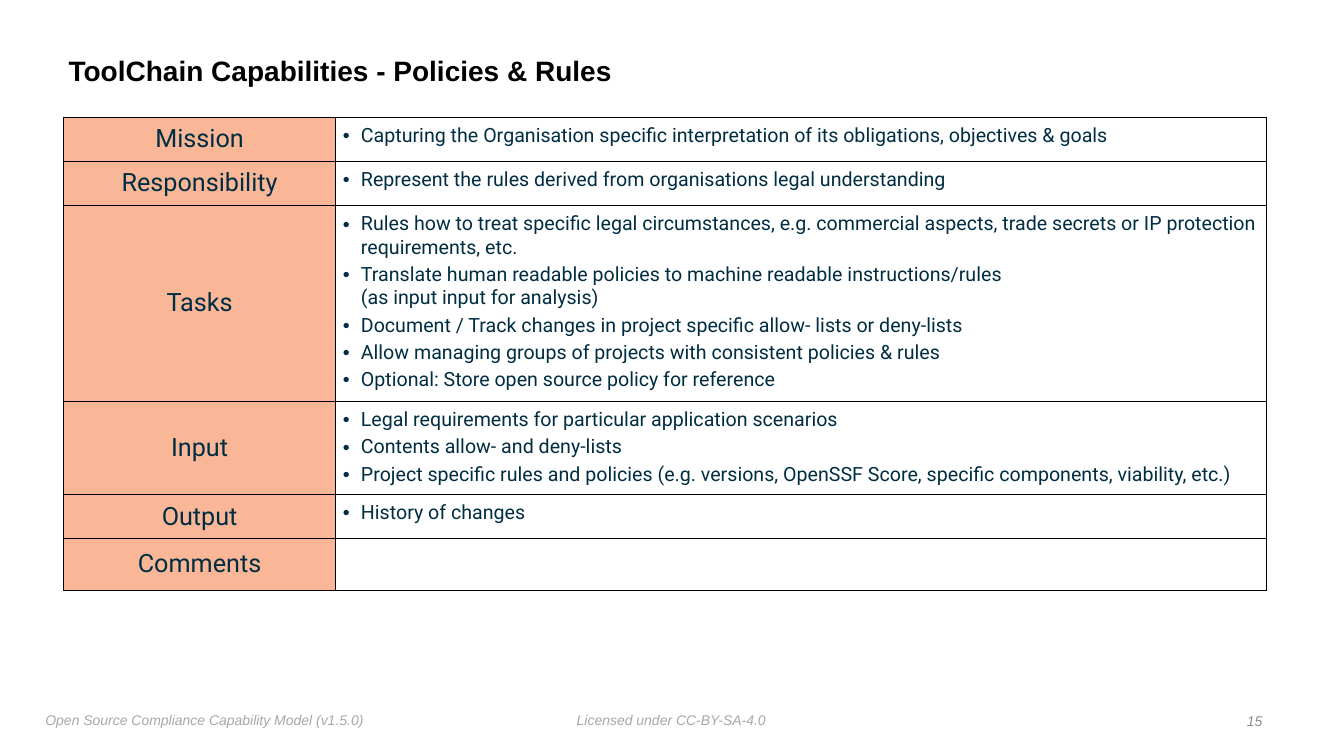
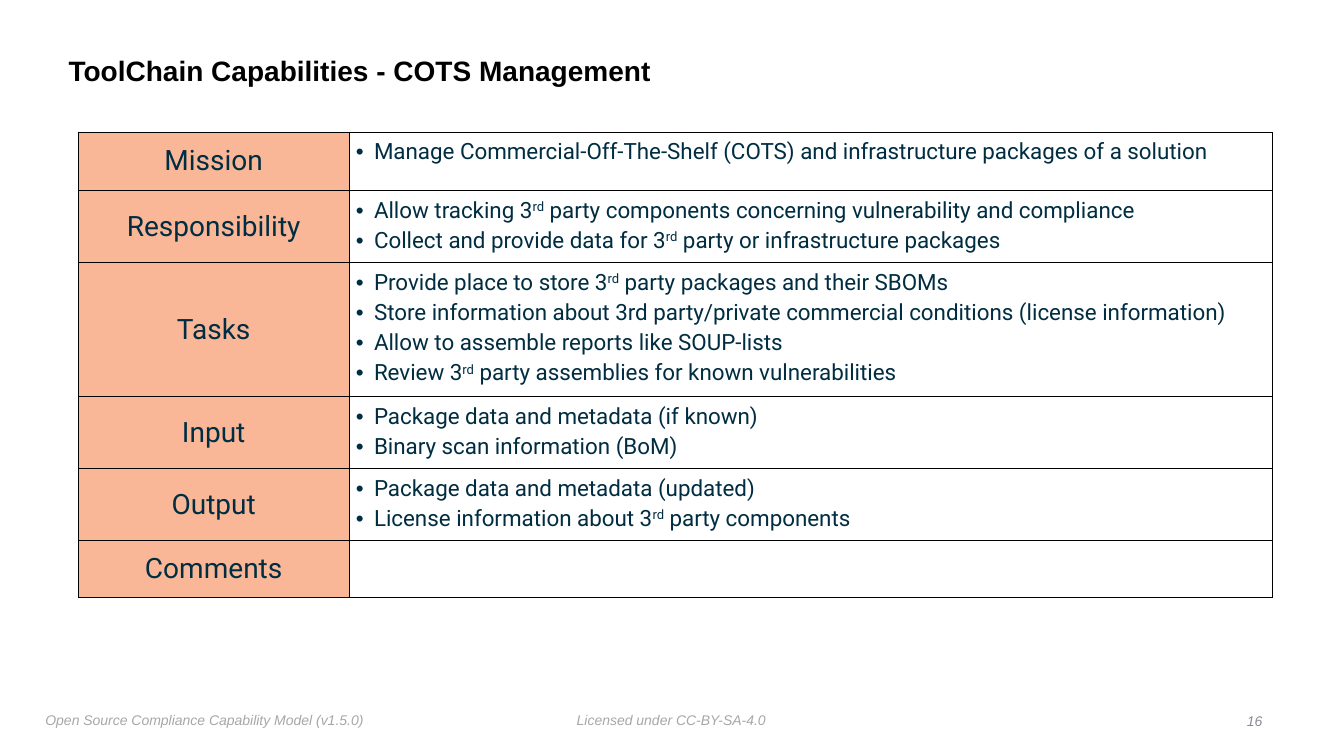
import dataclasses

import lxml.etree
import pptx
import pptx.dml.color
import pptx.enum.text
import pptx.oxml
import pptx.oxml.ns
import pptx.util

Inches = pptx.util.Inches
Pt = pptx.util.Pt
Align = pptx.enum.text.PP_ALIGN
Anchor = pptx.enum.text.MSO_ANCHOR


@dataclasses.dataclass(frozen=True)
class Theme:
    """Colours, fonts and sizes shared by the slides."""

    heading_font: str = "Arial"
    table_font: str = "Roboto"
    title_color: str = "000000"
    table_color: str = "002D41"
    label_fill: str = "FAB798"
    border_color: str = "000000"
    footer_color: str = "A7A7A7"
    number_color: str = "888C91"
    title_size: int = 20
    footer_size: int = 10
    border_width: float = 0.5
    text_inset: float = 0.05
    cell_inset: float = 0.07
    bullet_indent: float = 0.18
    bullet_gap: int = 3


THEME = Theme()
TITLE_BOX = (0.63, 0.39, 10.75, 0.65)
MODEL_BOX = (0.4, 7.01, 3.32, 0.27)
LICENSE_BOX = (5.67, 7.01, 1.99, 0.25)
NUMBER_BOX = (12.3, 7.03, 0.27, 0.25)
LABELS = ("Mission", "Responsibility", "Tasks", "Input", "Output", "Comments")

CAPABILITIES = [
    dict(
        title="ToolChain Capabilities - Policies & Rules",
        number=15,
        origin=(0.63, 1.16),
        columns=(2.7, 9.23),
        rows=(0.44, 0.44, 1.91, 0.91, 0.44, 0.51),
        label_size=18,
        entry_size=14,
        entries=(
            ["Capturing the Organisation specific interpretation of its obligations, objectives & goals"],
            ["Represent the rules derived from organisations legal understanding"],
            [
                "Rules how to treat specific legal circumstances, e.g. commercial aspects, "
                "trade secrets or IP protection requirements, etc.",
                "Translate human readable policies to machine readable instructions/rules\n"
                "(as input input for analysis)",
                "Document / Track changes in project specific allow- lists or deny-lists",
                "Allow managing groups of projects with consistent policies & rules",
                "Optional: Store open source policy for reference",
            ],
            [
                "Legal requirements for particular application scenarios",
                "Contents allow- and deny-lists",
                "Project specific rules and policies (e.g. versions, OpenSSF Score, "
                "specific components, viability, etc.)",
            ],
            ["History of changes"],
            [],
        ),
    ),
    dict(
        title="ToolChain Capabilities - COTS Management",
        number=16,
        origin=(0.78, 1.31),
        columns=(2.68, 9.16),
        rows=(0.58, 0.7, 1.29, 0.7, 0.7, 0.56),
        label_size=20,
        entry_size=16,
        entries=(
            ["Manage Commercial-Off-The-Shelf (COTS) and infrastructure packages of a solution"],
            [
                "Allow tracking 3^rd^ party components concerning vulnerability and compliance",
                "Collect and provide data for 3^rd^ party or infrastructure packages",
            ],
            [
                "Provide place to store 3^rd^ party packages and their SBOMs",
                "Store information about 3rd party/private commercial conditions (license information)",
                "Allow to assemble reports like SOUP-lists",
                "Review 3^rd^ party assemblies for known vulnerabilities",
            ],
            ["Package data and metadata (if known)", "Binary scan information (BoM)"],
            ["Package data and metadata (updated)", "License information about 3^rd^ party components"],
            [],
        ),
    ),
]


def style_font(paragraph, name, size, color, bold=False, italic=False):
    """Set the font of a whole paragraph."""
    font = paragraph.font
    font.name, font.size = name, Pt(size)
    font.bold, font.italic = bold, italic
    font.color.rgb = pptx.dml.color.RGBColor.from_string(color)


def set_insets(holder, inset):
    """Give a text frame or cell the same inset on all sides."""
    for side in ("left", "top", "right", "bottom"):
        setattr(holder, f"margin_{side}", Inches(inset))


def add_line(slide, box, text, wrap=False, anchor=Anchor.TOP, align=Align.LEFT):
    """Place one line of text in a box and return its paragraph."""
    frame = slide.shapes.add_textbox(*map(Inches, box)).text_frame
    frame.word_wrap = wrap
    frame.vertical_anchor = anchor
    set_insets(frame, THEME.text_inset)
    line = frame.paragraphs[0]
    line.text = text
    line.alignment = align
    return line


def add_title(slide, box, text):
    """Place the slide title."""
    title = add_line(slide, box, text, wrap=True, anchor=Anchor.MIDDLE)
    title.line_spacing = 0.9
    style_font(title, THEME.heading_font, THEME.title_size, THEME.title_color, bold=True)


def add_footer(slide, number):
    """Place the model name, the licence and the slide number."""
    model = add_line(slide, MODEL_BOX, "Open Source Compliance Capability Model (v1.5.0)")
    license_note = add_line(slide, LICENSE_BOX, "Licensed under CC-BY-SA-4.0")
    page = add_line(slide, NUMBER_BOX, str(number), anchor=Anchor.MIDDLE, align=Align.RIGHT)
    for line, color in (
        (model, THEME.footer_color),
        (license_note, THEME.footer_color),
        (page, THEME.number_color),
    ):
        style_font(line, THEME.heading_font, THEME.footer_size, color, italic=True)


def add_borders(cell):
    """Draw a thin border on every side of a cell."""
    properties = cell._tc.get_or_add_tcPr()
    for side in ("lnL", "lnR", "lnT", "lnB"):
        border = lxml.etree.SubElement(
            properties, pptx.oxml.ns.qn(f"a:{side}"), w=str(Pt(THEME.border_width))
        )
        fill = lxml.etree.SubElement(border, pptx.oxml.ns.qn("a:solidFill"))
        lxml.etree.SubElement(fill, pptx.oxml.ns.qn("a:srgbClr"), val=THEME.border_color)


def add_bullet(paragraph):
    """Give a paragraph a bullet with a hanging indent."""
    properties = paragraph._p.get_or_add_pPr()
    indent = Inches(THEME.bullet_indent)
    properties.set("marL", str(indent))
    properties.set("indent", str(-indent))
    lxml.etree.SubElement(properties, pptx.oxml.ns.qn("a:buFont"), typeface="Arial")
    lxml.etree.SubElement(properties, pptx.oxml.ns.qn("a:buChar"), char="•")


def write_entry(paragraph, entry):
    """Write an entry, raising the parts between carets."""
    for line_index, line in enumerate(entry.split("\n")):
        if line_index:
            paragraph.add_line_break()
        for part_index, part in enumerate(line.split("^")):
            run = paragraph.add_run()
            run.text = part
            if part_index % 2:
                run.font._element.set("baseline", "30000")


def fill_label(cell, label, size):
    """Write a row label on its coloured ground."""
    set_insets(cell, 0)
    cell.vertical_anchor = Anchor.MIDDLE
    cell.fill.solid()
    cell.fill.fore_color.rgb = pptx.dml.color.RGBColor.from_string(THEME.label_fill)
    paragraph = cell.text_frame.paragraphs[0]
    paragraph.text = label
    paragraph.alignment = Align.CENTER
    style_font(paragraph, THEME.table_font, size, THEME.table_color)


def fill_entries(cell, entries, size):
    """Write the bulleted entries of a row."""
    set_insets(cell, THEME.cell_inset)
    cell.fill.background()
    frame = cell.text_frame
    for index, entry in enumerate(entries):
        paragraph = frame.add_paragraph() if index else frame.paragraphs[0]
        add_bullet(paragraph)
        if index:
            paragraph.space_before = Pt(THEME.bullet_gap)
        write_entry(paragraph, entry)
        style_font(paragraph, THEME.table_font, size, THEME.table_color)


def add_capability_table(slide, origin, columns, rows, entries, label_size, entry_size):
    """Build the table of labels and entries from its top left corner."""
    table = slide.shapes.add_table(
        len(rows), len(columns), *map(Inches, (*origin, sum(columns), sum(rows)))
    ).table
    table.first_row = table.horz_banding = False
    for column, width in zip(table.columns, columns):
        column.width = Inches(width)
    for row, height, label, row_entries in zip(table.rows, rows, LABELS, entries):
        row.height = Inches(height)
        label_cell, entry_cell = row.cells
        add_borders(label_cell)
        add_borders(entry_cell)
        fill_label(label_cell, label, label_size)
        fill_entries(entry_cell, row_entries, entry_size)


def add_capability_slide(deck, title, number, **table_parts):
    """Build one capability slide."""
    slide = deck.slides.add_slide(deck.slide_layouts[6])
    add_title(slide, TITLE_BOX, title)
    add_capability_table(slide, **table_parts)
    add_footer(slide, number)


def main():
    """Build and save the deck."""
    deck = pptx.Presentation()
    deck.slide_width, deck.slide_height = Inches(13.33), Inches(7.5)
    for capability in CAPABILITIES:
        add_capability_slide(deck, **capability)
    deck.save("out.pptx")


if __name__ == "__main__":
    main()
